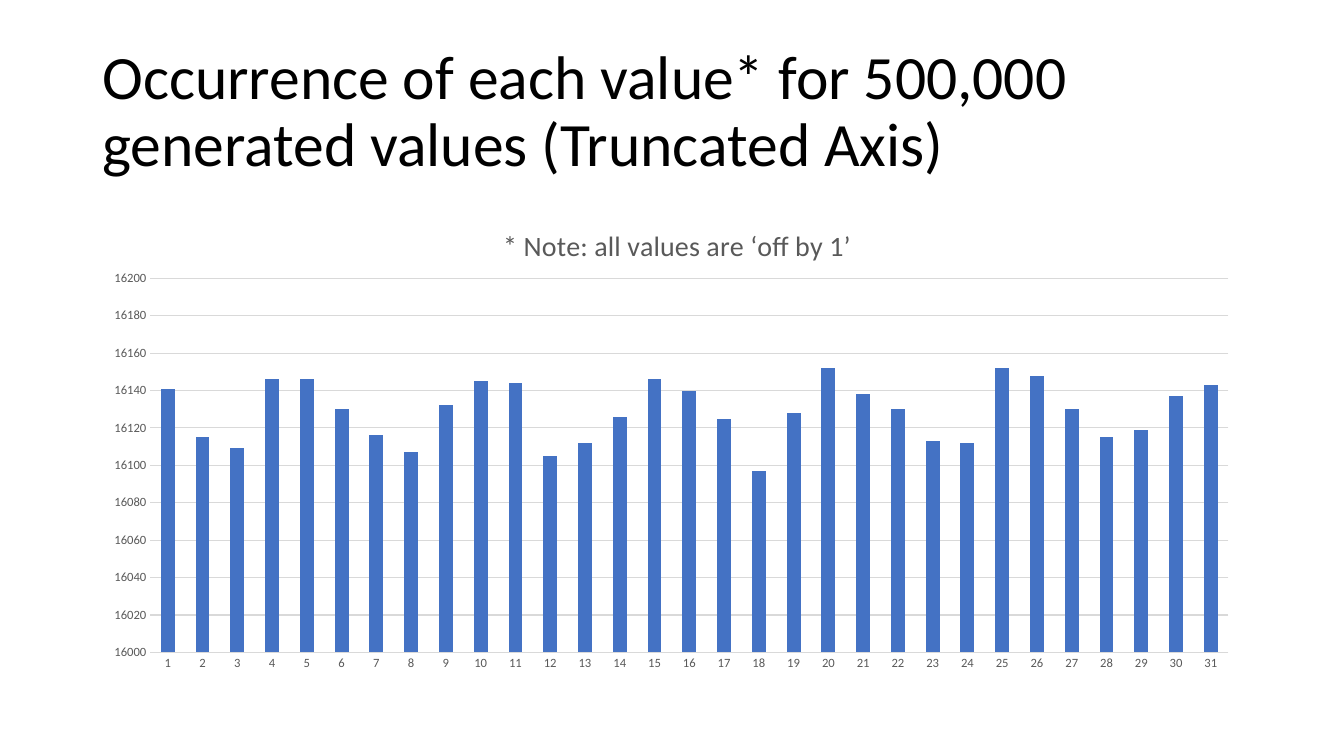
from dataclasses import dataclass

from lxml.etree import SubElement
from pptx import Presentation
from pptx.chart.data import CategoryChartData
from pptx.dml.color import RGBColor
from pptx.enum.chart import XL_CHART_TYPE as ChartType, XL_TICK_MARK as TickMark
from pptx.enum.text import MSO_ANCHOR as Anchor
from pptx.oxml.ns import qn
from pptx.util import Cm, Pt


@dataclass(frozen=True)
class Theme:
    font: str = "Calibri"
    title_color: RGBColor = RGBColor(0x00, 0x00, 0x00)
    label_color: RGBColor = RGBColor(0x59, 0x59, 0x59)
    grid_color: RGBColor = RGBColor(0xD9, 0xD9, 0xD9)
    bar_color: RGBColor = RGBColor(0x44, 0x72, 0xC4)
    title_size: Pt = Pt(44)
    note_size: Pt = Pt(20)
    chart_size: Pt = Pt(10)
    axis_size: Pt = Pt(9)
    grid_width: Pt = Pt(0.75)


THEME = Theme()
LEFT, WIDTH = Cm(2.33), Cm(29.21)
TITLE = "Occurrence of each value* for 500,000 generated values (Truncated Axis)"
NOTE = "* Note: all values are ‘off by 1’"
OCCURRENCES = (
    16141, 16115, 16109, 16146, 16146, 16130, 16116, 16107,
    16132, 16145, 16144, 16105, 16112, 16126, 16146, 16140,
    16125, 16097, 16128, 16152, 16138, 16130, 16113, 16112,
    16152, 16148, 16130, 16115, 16119, 16137, 16143,
)


def style_font(font, size, color):
    font.name = THEME.font
    font.size = size
    font.bold = False
    font.color.rgb = color


def add_title(slide, text):
    text_frame = slide.shapes.add_textbox(LEFT, Cm(1.01), WIDTH, Cm(3.68)).text_frame
    text_frame.word_wrap = True
    text_frame.vertical_anchor = Anchor.MIDDLE
    text_frame.text = text
    paragraph = text_frame.paragraphs[0]
    paragraph.line_spacing = 0.9
    style_font(paragraph.runs[0].font, THEME.title_size, THEME.title_color)


def set_layout(element, index, **settings):
    """Place a chart part by fractions of the chart's size."""
    for previous in element.findall(qn("c:layout")):
        element.remove(previous)
    layout = SubElement(element, qn("c:layout"))
    element.insert(index, layout)
    manual = SubElement(layout, qn("c:manualLayout"))
    for name, value in settings.items():
        SubElement(manual, qn(f"c:{name}")).set("val", str(value))


def style_axis(axis):
    axis.major_tick_mark = axis.minor_tick_mark = TickMark.NONE
    axis.format.line.fill.background()
    style_font(axis.tick_labels.font, THEME.axis_size, THEME.label_color)


def style_value_axis(axis, minimum, maximum, step):
    style_axis(axis)
    axis.minimum_scale, axis.maximum_scale, axis.major_unit = minimum, maximum, step
    axis.has_major_gridlines = True
    line = axis.major_gridlines.format.line
    line.color.rgb = THEME.grid_color
    line.width = THEME.grid_width


def add_chart_title(chart, text):
    chart.has_title = True
    title = chart.chart_title
    title.text_frame.text = text
    title.include_in_layout = False
    run = title.text_frame.paragraphs[0].runs[0]
    style_font(run.font, THEME.note_size, THEME.label_color)
    set_layout(title._element, 1, xMode="edge", yMode="edge", x=0.35, y=0.04)


def add_column_chart(slide, values):
    data = CategoryChartData()
    data.categories = [str(number) for number in range(1, len(values) + 1)]
    data.add_series("Series 1", values)
    chart = slide.shapes.add_chart(
        ChartType.COLUMN_CLUSTERED, LEFT, Cm(5.08), WIDTH, Cm(12.09), data
    ).chart
    style_font(chart.font, THEME.chart_size, THEME.title_color)
    chart.has_legend = False
    add_chart_title(chart, NOTE)
    style_axis(chart.category_axis)
    style_value_axis(chart.value_axis, 16000, 16200, 20)

    plot = chart.plots[0]
    plot.gap_width = 150
    plot.vary_by_categories = False
    fill = plot.series[0].format.fill
    fill.solid()
    fill.fore_color.rgb = THEME.bar_color
    plot_area = chart._chartSpace.chart.plotArea
    set_layout(plot_area, 0, layoutTarget="inner", xMode="edge", yMode="edge",
               x=0.05, y=0.16, w=0.93, h=0.78)


def main():
    presentation = Presentation()
    presentation.slide_width, presentation.slide_height = Cm(33.87), Cm(19.05)
    slide = presentation.slides.add_slide(presentation.slide_layouts[6])
    add_title(slide, TITLE)
    add_column_chart(slide, OCCURRENCES)
    presentation.save("out.pptx")


if __name__ == "__main__":
    main()
